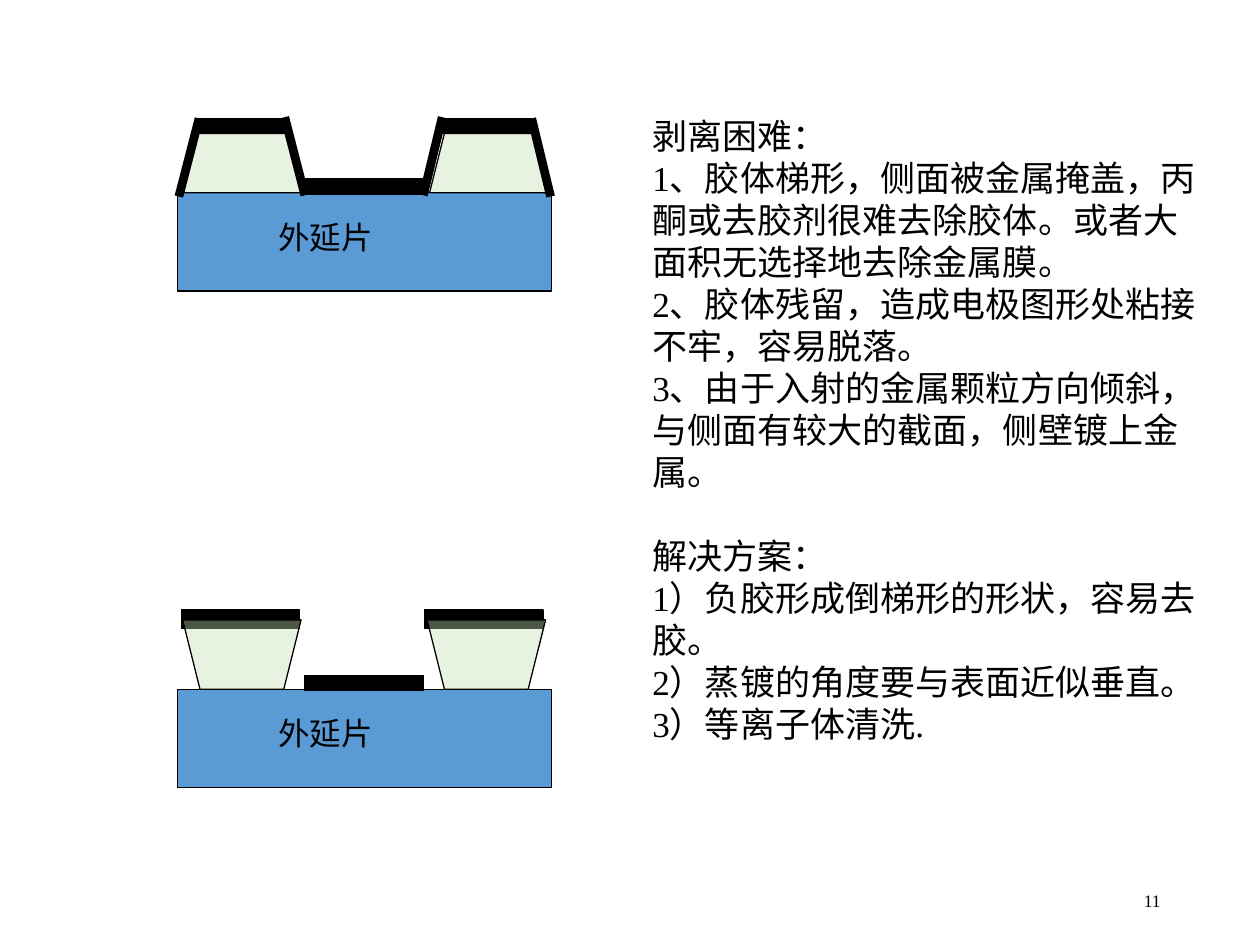
"""Build the slide comparing lift-off problems and their solutions."""
from lxml.etree import SubElement
from pptx import Presentation
from pptx.dml.color import RGBColor
from pptx.enum.shapes import MSO_CONNECTOR, MSO_SHAPE
from pptx.enum.text import MSO_ANCHOR, MSO_AUTO_SIZE, PP_ALIGN
from pptx.oxml.ns import qn
from pptx.util import Inches, Pt

BLACK = RGBColor(0x00, 0x00, 0x00)
BLUE = RGBColor(0x5B, 0x9B, 0xD5)
GREEN = RGBColor(0xC5, 0xE0, 0xB4)
FONT = {"name": "Times New Roman"}

SECTIONS = [
    ["剥离困难：",
     "1、胶体梯形，侧面被金属掩盖，丙酮或去胶剂很难去除胶体。或者大面积无选择地去除金属膜。",
     "2、胶体残留，造成电极图形处粘接不牢，容易脱落。",
     "3、由于入射的金属颗粒方向倾斜，与侧面有较大的截面，侧壁镀上金属。"],
    ["解决方案：",
     "1）负胶形成倒梯形的形状，容易去胶。",
     "2）蒸镀的角度要与表面近似垂直。",
     "3）等离子体清洗."],
]
WAFER_LABEL = "外延片"
WAFER_LEFT, WAFER_W, WAFER_H = 1.41, 2.97, 0.78
RESIST_W = 0.94
FIGURES = [
    {"wafer_top": 1.53, "resist_h": 0.47, "flip": False,
     "resist_x": [1.45, 3.41], "caps": [(1.56, 0.94), (3.52, 0.94)],
     "cap_size": (0.7, 0.12),
     "walls": [(1.58, 0.94, 1.42, 1.56), (2.26, 0.93, 2.42, 1.55),
               (3.51, 0.93, 3.36, 1.55), (4.22, 0.94, 4.37, 1.56)]},
    {"wafer_top": 5.47, "resist_h": 0.55, "flip": True,
     "resist_x": [1.45, 3.39], "caps": [(1.44, 4.84), (3.37, 4.84)],
     "cap_size": (0.94, 0.15), "walls": []},
]


def add_block(s, kind, box, color, alpha=None, flip=False):
    sp = s.shapes.add_shape(kind, *map(Inches, box))
    sp.shadow.inherit = False
    sp.fill.solid()
    sp.fill.fore_color.rgb = color
    sp.line.color.rgb = BLACK
    sp.line.width = Pt(0.75)
    if alpha:
        clr = sp._element.spPr.find(qn("a:solidFill"))[0]
        SubElement(clr, qn("a:alpha")).set("val", str(alpha * 1000))
    if flip:
        sp._element.spPr.find(qn("a:xfrm")).set("flipV", "1")


def add_wall(s, ends):
    line = s.shapes.add_connector(MSO_CONNECTOR.STRAIGHT, *map(Inches, ends))
    line.line.color.rgb = BLACK
    line.line.width = Pt(5)
    SubElement(line._element.spPr, qn("a:effectLst"))


def add_text(s, box, sections, size, align=PP_ALIGN.LEFT, **frame):
    tf = s.shapes.add_textbox(*map(Inches, box)).text_frame
    for key, value in {"word_wrap": True, **frame}.items():
        setattr(tf, key, value)
    p = tf.paragraphs[0]
    for i, section in enumerate(sections):
        for j, text in enumerate(section):
            if i or j:
                p = tf.add_paragraph()
            if i and not j:
                p.space_before = Pt(size * 1.2)
            p.alignment = align
            r = p.add_run()
            r.text = text
            for key, value in {**FONT, "size": Pt(size)}.items():
                setattr(r.font, key, value)
            r.font.color.rgb = BLACK


def add_figure(s, fig):
    top, h = fig["wafer_top"], fig["resist_h"]
    add_block(s, MSO_SHAPE.RECTANGLE, (WAFER_LEFT, top, WAFER_W, WAFER_H), BLUE)
    add_text(s, (2.11, top + 0.15, 1.41, 0.51), [[WAFER_LABEL]], 18,
             auto_size=MSO_AUTO_SIZE.SHAPE_TO_FIT_TEXT)
    add_block(s, MSO_SHAPE.RECTANGLE, (2.42, top - 0.11, 0.94, 0.12), BLACK)
    for x, cap in zip(fig["resist_x"], fig["caps"]):
        add_block(s, MSO_SHAPE.RECTANGLE, cap + fig["cap_size"], BLACK)
        add_block(s, MSO_SHAPE.TRAPEZOID, (x, top - h, RESIST_W, h), GREEN,
                  alpha=39, flip=fig["flip"])
    for ends in fig["walls"]:
        add_wall(s, ends)


def main():
    prs = Presentation()
    prs.slide_width, prs.slide_height = Inches(10), Inches(7.5)
    s = prs.slides.add_slide(prs.slide_layouts[6])
    for fig in FIGURES:
        add_figure(s, fig)
    add_text(s, (5.08, 0.86, 4.53, 5.15), SECTIONS, 20,
             auto_size=MSO_AUTO_SIZE.SHAPE_TO_FIT_TEXT)
    add_text(s, (7.06, 6.95, 2.25, 0.4), [["11"]], 10, PP_ALIGN.RIGHT,
             vertical_anchor=MSO_ANCHOR.MIDDLE)
    prs.save("out.pptx")


if __name__ == "__main__":
    main()
